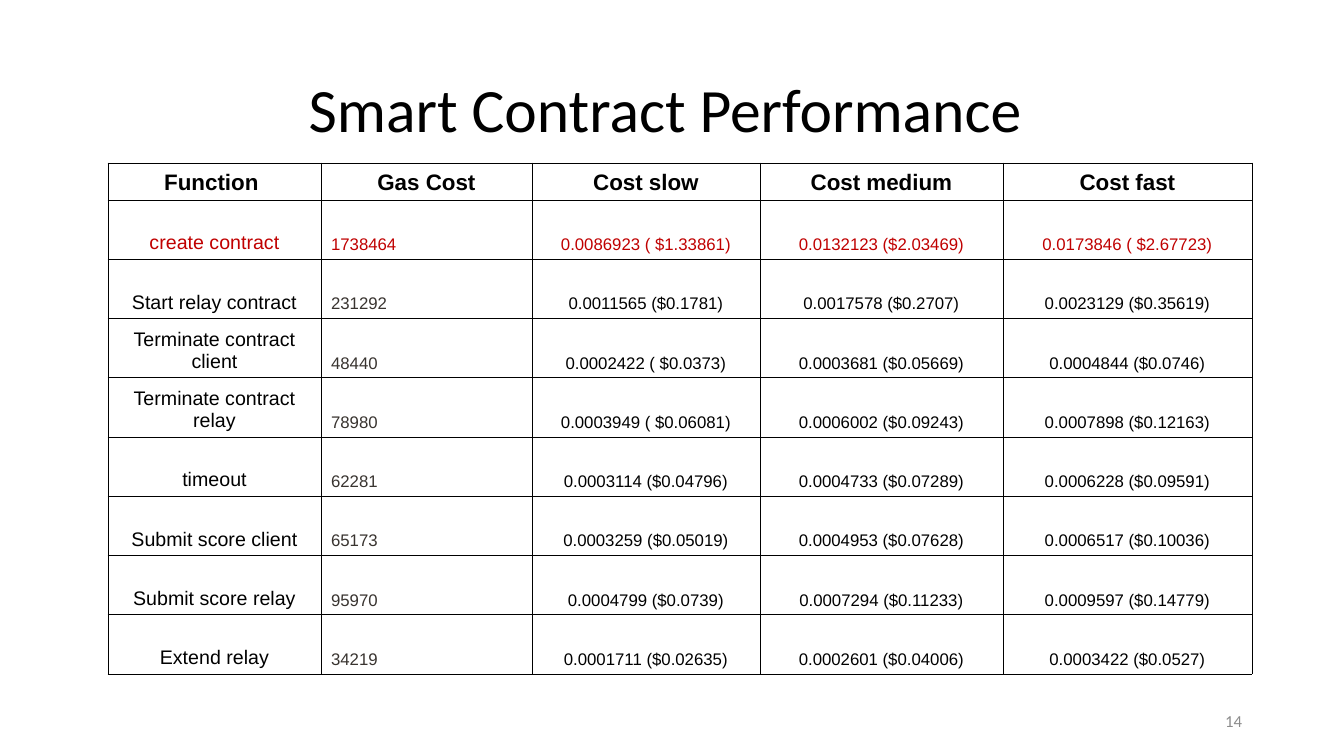
import pptx
import pptx.dml.color
import pptx.enum.text
import pptx.oxml
import pptx.oxml.ns
import pptx.util

PIXEL = 914400 / 100.8
BLACK = pptx.dml.color.RGBColor(0x00, 0x00, 0x00)
WHITE = pptx.dml.color.RGBColor(0xFF, 0xFF, 0xFF)
RED = pptx.dml.color.RGBColor(0xC0, 0x00, 0x00)
DARK_GREY = pptx.dml.color.RGBColor(0x39, 0x34, 0x30)
PAGE_GREY = pptx.dml.color.RGBColor(0x8C, 0x8C, 0x8C)
LEFT, CENTER, RIGHT = (pptx.enum.text.PP_ALIGN.LEFT, pptx.enum.text.PP_ALIGN.CENTER,
                       pptx.enum.text.PP_ALIGN.RIGHT)
MIDDLE = pptx.enum.text.MSO_ANCHOR.MIDDLE


def px(*lengths):
    return [pptx.util.Emu(round(length * PIXEL)) for length in lengths]


def write(frame, text, size, font="Arial", color=BLACK, bold=False, align=CENTER, spacing=1.0):
    frame.word_wrap = True
    paragraph = frame.paragraphs[0]
    paragraph.alignment = align
    paragraph.line_spacing = spacing
    run = paragraph.add_run()
    run.text = text
    run.font.size = pptx.util.Pt(size)
    run.font.name = font
    run.font.bold = bold
    run.font.color.rgb = color


presentation = pptx.Presentation()
presentation.slide_width, presentation.slide_height = px(1344, 756)
slide = presentation.slides.add_slide(presentation.slide_layouts[6])

# Title and page number
for box, text, style in [
    ((93, 40, 1159, 146), "Smart Contract Performance ", dict(size=44, spacing=0.9)),
    ((950, 701, 302, 40), "14", dict(size=12, color=PAGE_GREY, align=RIGHT)),
]:
    frame = slide.shapes.add_textbox(*px(*box)).text_frame
    frame.vertical_anchor = MIDDLE
    write(frame, text, font="Calibri", **style)

# Table contents
rows = [
    ("Function\u00a0", "Gas Cost", "Cost slow", "Cost medium", "Cost fast"),
    ("create contract", "1738464", "0.0086923 ( $1.33861)", "0.0132123 ($2.03469)", "0.0173846 ( $2.67723)"),
    ("Start relay contract", "231292", "0.0011565 ($0.1781)", "0.0017578 ($0.2707)", "0.0023129 ($0.35619)"),
    ("Terminate contract client", "48440", "0.0002422 ( $0.0373)", "0.0003681 ($0.05669)", "0.0004844 ($0.0746)"),
    ("Terminate contract relay", "78980", "0.0003949 ( $0.06081)", "0.0006002 ($0.09243)", "0.0007898 ($0.12163)"),
    ("timeout", "62281", "0.0003114 ($0.04796)", "0.0004733 ($0.07289)", "0.0006228 ($0.09591)"),
    ("Submit score client", "65173", "0.0003259 ($0.05019)", "0.0004953 ($0.07628)", "0.0006517 ($0.10036)"),
    ("Submit score relay", "95970", "0.0004799 ($0.0739)", "0.0007294 ($0.11233)", "0.0009597 ($0.14779)"),
    ("Extend relay", "34219", "0.0001711 ($0.02635)", "0.0002601 ($0.04006)", "0.0003422 ($0.0527)"),
]
column_widths = [213, 211, 228, 243, 249]
header_height, body_height = 37, 474

# Table grid
table = slide.shapes.add_table(
    len(rows), len(column_widths),
    *px(108, 163, sum(column_widths), header_height + body_height)).table
for column, width in zip(table.columns, px(*column_widths)):
    column.width = width
row_heights = [header_height] + [body_height / (len(rows) - 1)] * (len(rows) - 1)
for row, height in zip(table.rows, px(*row_heights)):
    row.height = height

# Cells: text, borders, fill
for row_index, row in enumerate(rows):
    for column_index, text in enumerate(row):
        cell = table.cell(row_index, column_index)
        cell.vertical_anchor = pptx.enum.text.MSO_ANCHOR.BOTTOM
        if row_index == 0:
            style = dict(size=16, bold=True)
        else:
            is_gas = column_index == 1
            style = dict(size=14 if column_index == 0 else 12,
                         align=LEFT if is_gas else CENTER,
                         color=RED if row_index == 1 else DARK_GREY if is_gas else BLACK)
        write(cell.text_frame, text, **style)

        properties = cell._tc.get_or_add_tcPr()
        for side in ("lnL", "lnR", "lnT", "lnB"):
            properties.append(pptx.oxml.parse_xml(
                f'<a:{side} {pptx.oxml.ns.nsdecls("a")} w="6350"><a:solidFill>'
                f'<a:srgbClr val="{BLACK}"/></a:solidFill></a:{side}>'))
        cell.fill.solid()
        cell.fill.fore_color.rgb = WHITE

presentation.save("out.pptx")
